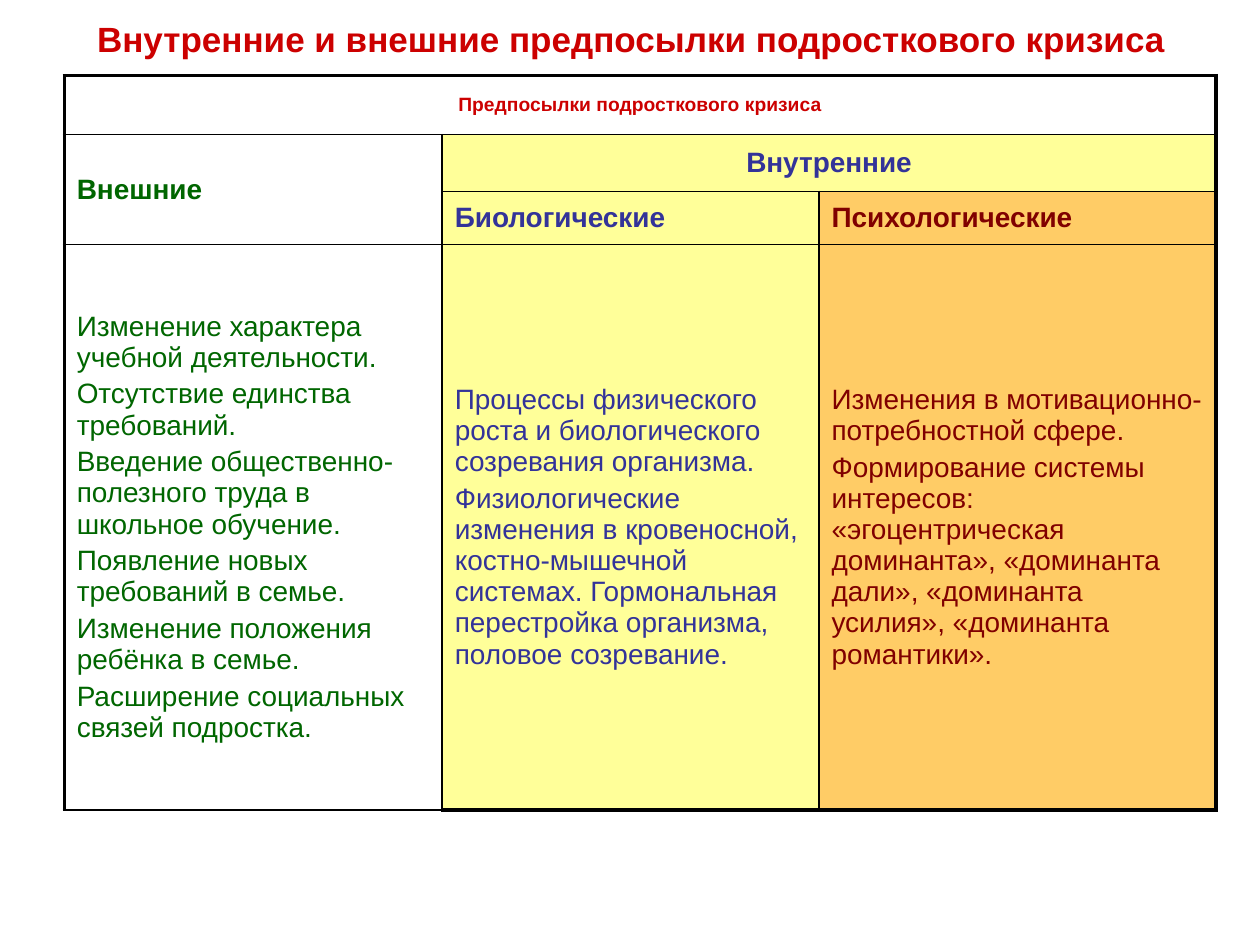
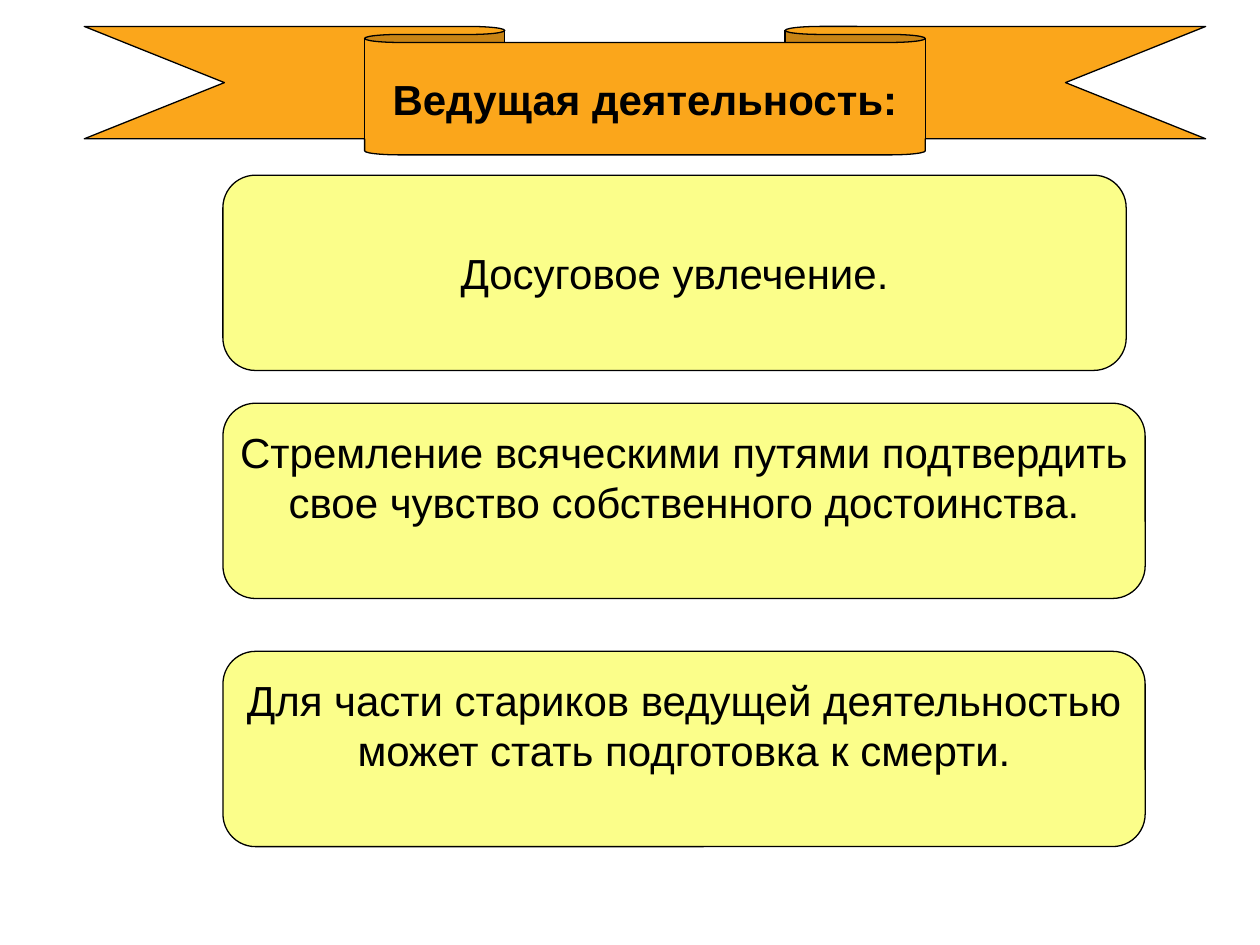
from pptx import Presentation
from pptx.dml.color import RGBColor
from pptx.enum.shapes import MSO_SHAPE
from pptx.enum.text import MSO_ANCHOR, PP_ALIGN
from pptx.oxml import parse_xml
from pptx.oxml.ns import nsdecls
from pptx.util import Pt

MIDDLE = MSO_ANCHOR.MIDDLE
LEFT, CENTER = PP_ALIGN.LEFT, PP_ALIGN.CENTER
RIBBON, ROUND = MSO_SHAPE.DOWN_RIBBON, MSO_SHAPE.ROUNDED_RECTANGLE

BLACK = RGBColor(0x00, 0x00, 0x00)
WHITE = RGBColor(0xFF, 0xFF, 0xFF)
RED = RGBColor(0xCC, 0x00, 0x00)
GREEN = RGBColor(0x00, 0x66, 0x00)
BLUE = RGBColor(0x33, 0x33, 0x99)
MAROON = RGBColor(0x80, 0x00, 0x00)
YELLOW = RGBColor(0xFF, 0xFF, 0x99)
ORANGE = RGBColor(0xFF, 0xCC, 0x66)
AMBER = RGBColor(0xFB, 0xA6, 0x1B)
LEMON = RGBColor(0xFB, 0xFE, 0x8A)

FONT = "Arial"
THIN, THICK = 1, 2.25
COLS = (216, 215.3, 226.8)
ROWS = (33.8, 32.4, 30.2, 323.3)

HEAD = {"size": Pt(16), "bold": True}
BODY = {"size": Pt(16), "bold": False}

# first row, first column, last row, last column, fill, colour, format, align, lines
AREAS = [
    (0, 0, 0, 2, WHITE, RED, {"size": Pt(11), "bold": True}, CENTER,
     ["Предпосылки подросткового кризиса"]),
    (1, 0, 2, 0, WHITE, GREEN, HEAD, LEFT, ["Внешние"]),
    (1, 1, 1, 2, YELLOW, BLUE, HEAD, CENTER, ["Внутренние"]),
    (2, 1, 2, 1, YELLOW, BLUE, HEAD, LEFT, ["Биологические"]),
    (2, 2, 2, 2, ORANGE, MAROON, HEAD, LEFT, ["Психологические"]),
    (3, 0, 3, 0, WHITE, GREEN, BODY, LEFT, [
        "Изменение характера учебной деятельности.",
        "Отсутствие единства требований.",
        "Введение общественно-полезного труда в школьное обучение.",
        "Появление новых требований в семье.",
        "Изменение положения ребёнка в семье.",
        "Расширение социальных связей подростка."]),
    (3, 1, 3, 1, YELLOW, BLUE, BODY, LEFT, [
        "Процессы физического роста и биологического созревания организма.",
        "Физиологические изменения в кровеносной, костно-мышечной системах. "
        "Гормональная перестройка организма, половое созревание."]),
    (3, 2, 3, 2, ORANGE, MAROON, BODY, LEFT, [
        "Изменения в мотивационно-потребностной сфере.",
        "Формирование системы интересов: «эгоцентрическая доминанта», "
        "«доминанта дали», «доминанта усилия», «доминанта романтики»."]),
]

# top, width, room below the text, lines
CARDS = [
    (100.1, 516.2, 3.6, ["Досуговое увлечение."]),
    (230.4, 527, 31.2, ["Стремление всяческими путями подтвердить",
                        "свое чувство собственного достоинства."]),
    (372.2, 527, 31.2, ["Для части стариков ведущей деятельностью",
                        "может стать подготовка к смерти."]),
]


def write(frame, lines, color, style, align=CENTER, gap=0):
    for i, line in enumerate(lines):
        para = frame.paragraphs[0] if i == 0 else frame.add_paragraph()
        para.alignment = align
        para.space_before = Pt(gap if i else 0)
        run = para.add_run()
        run.text = line
        run.font.name = FONT
        run.font.color.rgb = color
        for name, value in style.items():
            setattr(run.font, name, value)


def add_title(slide, box, text):
    frame = slide.shapes.add_textbox(*map(Pt, box)).text_frame
    frame.word_wrap = True
    frame.vertical_anchor = MIDDLE
    write(frame, [text], RED, {"size": Pt(20), "bold": True})


def add_edge(cell, side, width):
    cell._tc.get_or_add_tcPr().append(parse_xml(
        f'<a:ln{side} {nsdecls("a")} w="{Pt(width)}"><a:solidFill>'
        f'<a:srgbClr val="{BLACK}"/></a:solidFill></a:ln{side}>'))


def rule_area(table, top, left, bottom, right):
    """Draw thick lines round the table and thin ones inside it."""
    last_row, last_col = len(ROWS) - 1, len(COLS) - 1
    for r in range(top, bottom + 1):
        for c in range(left, right + 1):
            first = (r, c) == (top, left)
            edges = (("L", c == left, left == 0),
                     ("R", c == right, right == last_col),
                     ("T", r == top, top == 0),
                     ("B", r == bottom, bottom == last_row and left > 0))
            for side, shown, outer in edges:
                if first or shown:
                    add_edge(table.cell(r, c), side, THICK if outer else THIN)


def add_grid(slide, left, top):
    table = slide.shapes.add_table(
        len(ROWS), len(COLS), Pt(left), Pt(top),
        Pt(sum(COLS)), Pt(sum(ROWS))).table
    table.first_row = table.horz_banding = False
    for col, width in zip(table.columns, COLS):
        col.width = Pt(width)
    for row, height in zip(table.rows, ROWS):
        row.height = Pt(height)
    for r1, c1, r2, c2, fill, color, style, align, lines in AREAS:
        cell = table.cell(r1, c1)
        if (r1, c1) != (r2, c2):
            cell.merge(table.cell(r2, c2))
        rule_area(table, r1, c1, r2, c2)
        cell.fill.solid()
        cell.fill.fore_color.rgb = fill
        cell.vertical_anchor = MIDDLE
        write(cell.text_frame, lines, color, style, align, gap=3.2)


def add_panel(slide, kind, box, fill, lines, bold=False, below=3.6):
    shape = slide.shapes.add_shape(kind, *map(Pt, box))
    shape.shadow.inherit = False
    shape.fill.solid()
    shape.fill.fore_color.rgb = fill
    shape.line.color.rgb = BLACK
    shape.line.width = Pt(0.75)
    frame = shape.text_frame
    frame.word_wrap = False
    frame.vertical_anchor = MIDDLE
    frame.margin_bottom = Pt(below)
    write(frame, lines, BLACK, {"size": Pt(24), "bold": bold})
    return shape


def causes_slide(slide):
    add_title(slide, (36.7, 0, 648, 43.9),
              "Внутренние и внешние предпосылки подросткового кризиса")
    add_grid(slide, 36.7, 43.2)


def activity_slide(slide):
    ribbon = add_panel(slide, RIBBON, (48.2, 15.1, 640.8, 73.4), AMBER,
                       ["Ведущая деятельность:"], bold=True)
    ribbon.adjustments[0], ribbon.adjustments[1] = 0.125, 0.5
    for top, width, below, lines in CARDS:
        add_panel(slide, ROUND, (127.4, top, width, 111.6), LEMON,
                  lines, below=below)


def main():
    deck = Presentation()
    deck.slide_width, deck.slide_height = Pt(720), Pt(540)
    for build in (causes_slide, activity_slide):
        build(deck.slides.add_slide(deck.slide_layouts[6]))
    deck.save("out.pptx")


if __name__ == "__main__":
    main()
